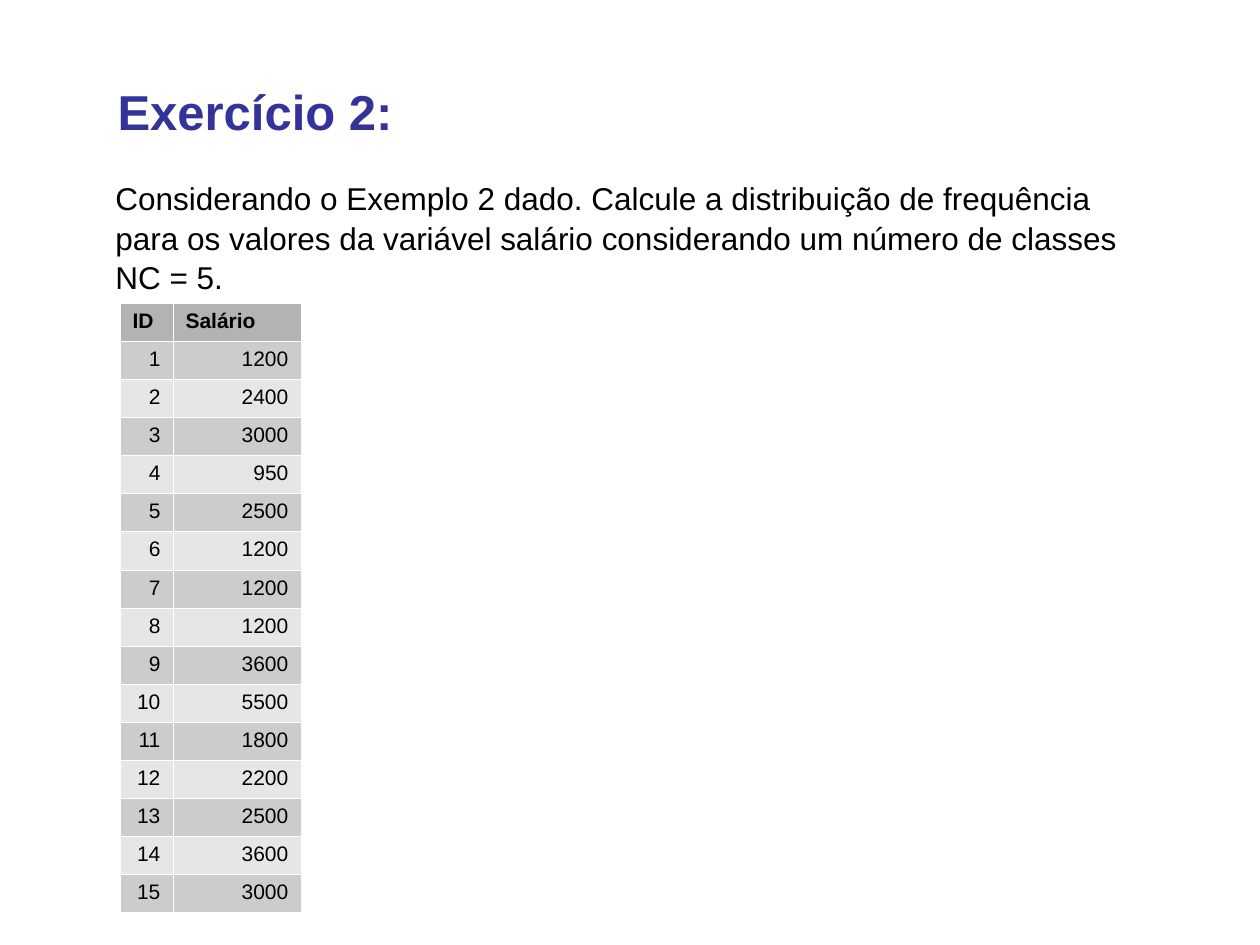
from dataclasses import dataclass

from lxml import etree
from pptx import Presentation
from pptx.dml.color import RGBColor
from pptx.enum.text import MSO_ANCHOR, MSO_AUTO_SIZE, PP_ALIGN
from pptx.oxml.ns import qn
from pptx.util import Emu, Pt

LEFT, RIGHT = PP_ALIGN.LEFT, PP_ALIGN.RIGHT
MIDDLE = MSO_ANCHOR.MIDDLE
NO_AUTOFIT, GROW = MSO_AUTO_SIZE.NONE, MSO_AUTO_SIZE.SHAPE_TO_FIT_TEXT


@dataclass(frozen=True)
class Theme:
    font: str = "Arial"
    title_color: str = "333399"
    text_color: str = "000000"
    header_fill: str = "B3B3B3"
    odd_fill: str = "CCCCCC"
    even_fill: str = "E6E6E6"
    border_color: str = "FFFFFF"
    border_width: float = 0.06
    title_size: int = 28
    body_size: int = 18
    table_size: int = 12


theme = Theme()
PX = 914400 / 126


def px(length):
    return Emu(round(length * PX))


def style(paragraph, size, color, bold=False, align=LEFT):
    paragraph.alignment = align
    paragraph.font.name = theme.font
    paragraph.font.size = Pt(size)
    paragraph.font.bold = bold
    paragraph.font.color.rgb = RGBColor.from_string(color)


deck = Presentation()
deck.slide_width, deck.slide_height = px(1260), px(945)
slide = deck.slides.add_slide(deck.slide_layouts[5])

title = slide.shapes.title
title.left, title.top, title.width, title.height = px(105), px(71), px(1072), px(79)
title.text_frame.text = "Exercício 2:"
title.text_frame.vertical_anchor = MIDDLE
title.text_frame.auto_size = NO_AUTOFIT
style(title.text_frame.paragraphs[0], theme.title_size, theme.title_color, bold=True)

question = slide.shapes.add_textbox(px(103), px(171), px(1043), px(126)).text_frame
question.word_wrap = True
question.auto_size = GROW
question.text = (
    "Considerando o Exemplo 2 dado. Calcule a distribuição de frequência "
    "para os valores da variável salário considerando um número de classes NC = 5."
)
question.paragraphs[0].line_spacing = 1.05
style(question.paragraphs[0], theme.body_size, theme.text_color)

salaries = [1200, 2400, 3000, 950, 2500, 1200, 1200, 1200,
            3600, 5500, 1800, 2200, 2500, 3600, 3000]
records = [("ID", "Salário"), *enumerate(salaries, start=1)]
column_widths = [53, 128]

salary_table = slide.shapes.add_table(
    len(records), len(column_widths), px(120), px(303), px(sum(column_widths)), px(610)
).table
for column, width in zip(salary_table.columns, column_widths):
    column.width = px(width)

for row, record in enumerate(records):
    header = row == 0
    fill = theme.header_fill if header else theme.odd_fill if row % 2 else theme.even_fill
    for col, value in enumerate(record):
        cell = salary_table.cell(row, col)
        cell.text = str(value)
        style(cell.text_frame.paragraphs[0], theme.table_size, theme.text_color,
              bold=header, align=LEFT if header else RIGHT)
        cell.fill.solid()
        cell.fill.fore_color.rgb = RGBColor.from_string(fill)
        properties = cell._tc.get_or_add_tcPr()
        for position, side in enumerate(("a:lnL", "a:lnR", "a:lnT", "a:lnB")):
            border = etree.Element(qn(side), w=str(Pt(theme.border_width)))
            solid = etree.SubElement(border, qn("a:solidFill"))
            etree.SubElement(solid, qn("a:srgbClr"), val=theme.border_color)
            properties.insert(position, border)

deck.save("out.pptx")
